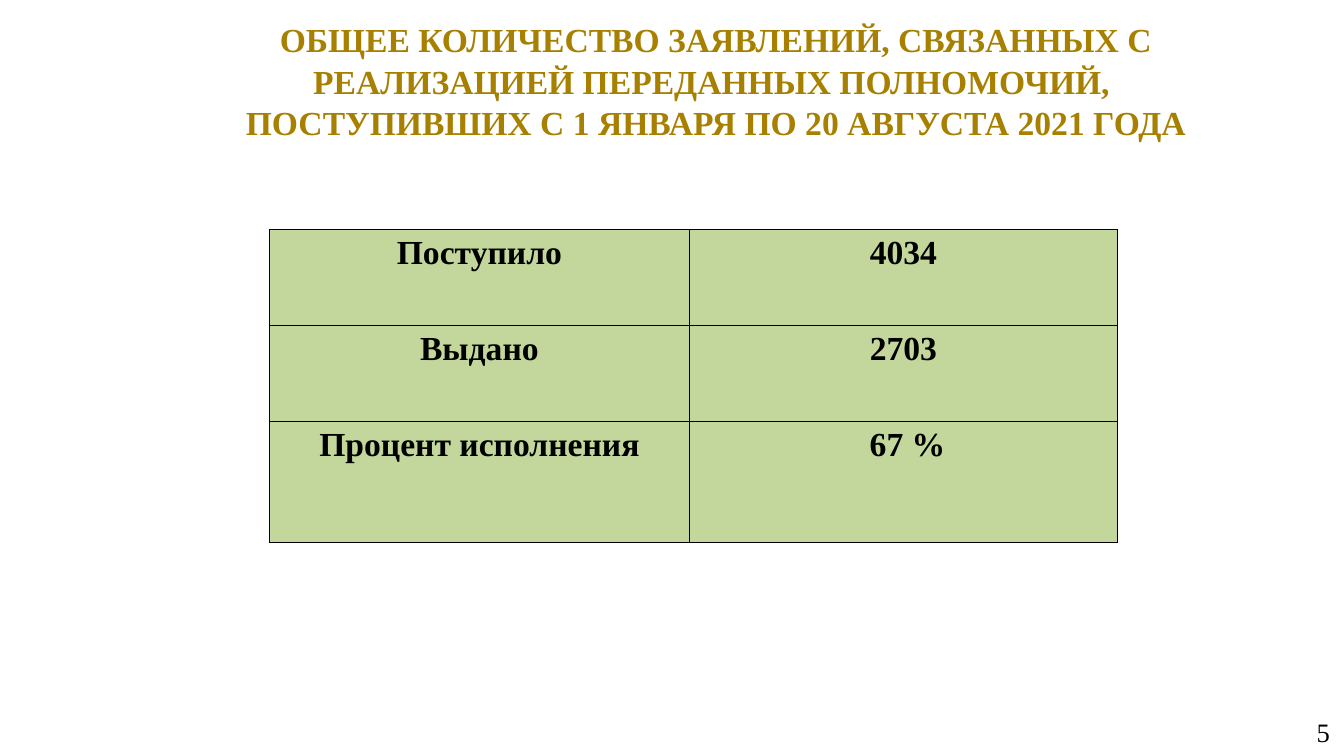
from dataclasses import dataclass
from lxml import etree
from pptx import Presentation, util as u
from pptx.dml.color import RGBColor
from pptx.enum import text
from pptx.oxml.ns import qn

TITLE = ("ОБЩЕЕ КОЛИЧЕСТВО ЗАЯВЛЕНИЙ, СВЯЗАННЫХ С РЕАЛИЗАЦИЕЙ ПЕРЕДАННЫХ ПОЛНОМОЧИЙ, \v"
         "ПОСТУПИВШИХ С 1 ЯНВАРЯ ПО 20 АВГУСТА 2021 ГОДА")
ROWS = [("Поступило", "4034"), ("Выдано", "2703"), ("Процент исполнения", " 67 %")]
PAGE = "5"

SLIDE = (13.33, 7.5)
TITLE_BOX = (1.38, 0.3, 11.44, 0.99)
PAGE_BOX = (10.22, 7.07, 3.1, 0.39)
TABLE_AT = (2.67, 2.28)
COL_WIDTHS = (4.17, 4.24)
ROW_HEIGHTS = (0.95, 0.95, 1.2)


@dataclass(frozen=True)
class Theme:
    font: str = "Times New Roman"
    gold: str = "A88000"
    black: str = "000000"
    green: str = "C3D69B"
    body: int = 24
    page: int = 19
    border: float = 0.96


T = Theme()


def write(tf, content, size, color, bold, align, pad_y):
    tf.text = content
    tf.word_wrap = True
    tf.margin_left = tf.margin_right = u.Inches(0.13)
    tf.margin_top = tf.margin_bottom = u.Inches(pad_y)
    p = tf.paragraphs[0]
    p.alignment = align
    for r in p.runs:
        r.font.name, r.font.size, r.font.bold = T.font, u.Pt(size), bold
        r.font.color.rgb = RGBColor.from_string(color)
    return p


def add_borders(cell):
    tcPr = cell._tc.get_or_add_tcPr()
    for i, side in enumerate(("lnL", "lnR", "lnT", "lnB")):
        ln = etree.Element(qn(f"a:{side}"), w=str(u.Pt(T.border)))
        fill = etree.SubElement(ln, qn("a:solidFill"))
        etree.SubElement(fill, qn("a:srgbClr"), val=T.black)
        tcPr.insert(i, ln)


def add_title(s):
    sp = s.shapes.title
    sp.left, sp.top, sp.width, sp.height = map(u.Inches, TITLE_BOX)
    tf = sp.text_frame
    p = write(tf, TITLE, T.body, T.gold, True, text.PP_ALIGN.CENTER, 0.07)
    p.line_spacing = 1.03
    tf.auto_size = text.MSO_AUTO_SIZE.NONE
    tf.vertical_anchor = text.MSO_ANCHOR.MIDDLE


def add_table(s):
    size = (sum(COL_WIDTHS), sum(ROW_HEIGHTS))
    frame = s.shapes.add_table(len(ROWS), len(COL_WIDTHS), *map(u.Inches, TABLE_AT + size))
    table = frame.table
    table.first_row = table.horz_banding = False
    for col, width in zip(table.columns, COL_WIDTHS):
        col.width = u.Inches(width)
    for row, height, values in zip(table.rows, ROW_HEIGHTS, ROWS):
        row.height = u.Inches(height)
        for cell, value in zip(row.cells, values):
            write(cell.text_frame, value, T.body, T.black, True, text.PP_ALIGN.CENTER, 0.05)
            cell.margin_left = cell.margin_right = u.Inches(0.13)
            cell.margin_top = cell.margin_bottom = u.Inches(0.05)
            cell.fill.solid()
            cell.fill.fore_color.rgb = RGBColor.from_string(T.green)
            add_borders(cell)


def add_page_number(s):
    tf = s.shapes.add_textbox(*map(u.Inches, PAGE_BOX)).text_frame
    write(tf, PAGE, T.page, T.black, False, text.PP_ALIGN.RIGHT, 0.07)
    tf.vertical_anchor = text.MSO_ANCHOR.MIDDLE


def main():
    prs = Presentation()
    prs.slide_width, prs.slide_height = map(u.Inches, SLIDE)
    s = prs.slides.add_slide(prs.slide_layouts.get_by_name("Title Only"))
    add_title(s)
    add_table(s)
    add_page_number(s)
    prs.save("out.pptx")


if __name__ == "__main__":
    main()
